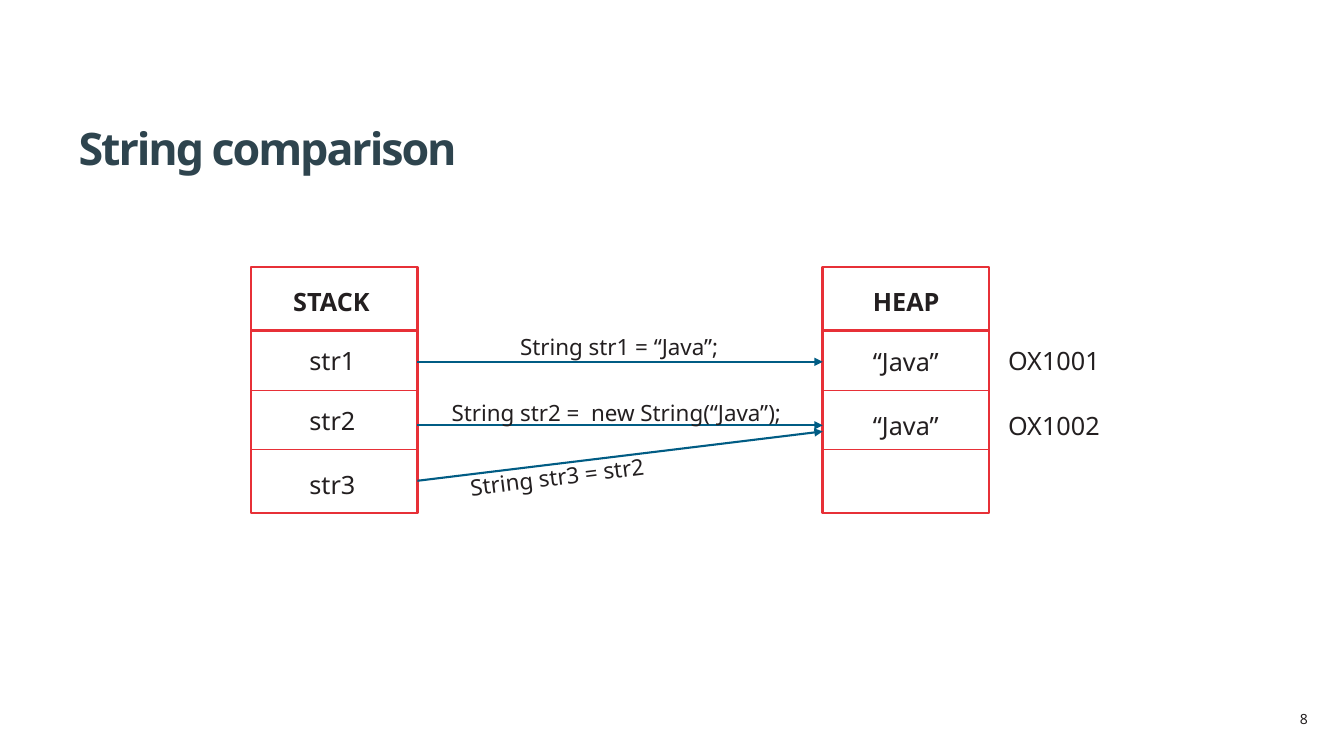
from lxml import etree
from pptx import Presentation
from pptx.dml.color import RGBColor
from pptx.enum import shapes as kinds, text as t
from pptx.oxml.ns import qn
from pptx.util import Inches, Pt

# Content
TITLE = "String comparison"
PAGE = "8"
MEMORY = [  # name, left of block, left of name
    ("STACK", 2.49, 2.81),
    ("HEAP", 8.16, 8.56),
]
ENTRIES = [  # text, left, top, width
    ("str1", 2.97, 3.38, 0.71),
    ("str2", 2.97, 3.97, 0.71),
    ("str3", 2.97, 4.61, 0.71),
    ("“Java”", 8.56, 3.39, 0.94),
    ("“Java”", 8.56, 4.02, 0.94),
    ("OX1001", 9.9, 3.38, 1.26),
    ("OX1002", 9.9, 4.02, 1.26),
]
STATEMENTS = [  # code, arrow start and end height, label left, top, width, rotation
    ("String str1 = “Java”;", 3.59, 3.59, 5.06, 3.26, 2.6, 0),
    ("String str2 =  new String(“Java”);", 4.22, 4.22, 4.38, 3.91, 3.69, 0),
    ("String str3 = str2", 4.77, 4.28, 4.56, 4.52, 2.36, -7),
]

# Style
FONT = "Noto Sans"
INK, RED, BLUE, SLATE, WHITE = "231F20", "E73037", "005C84", "2E444E", "FFFFFF"
BLOCK_TOP, BLOCK_WIDTH, BLOCK_HEIGHT = 2.65, 1.65, 2.44
HEADER_BOTTOM, ROW_HEIGHT = 3.28, 0.59

deck = Presentation()
deck.slide_width, deck.slide_height = Inches(13.33), Inches(7.5)
slide = deck.slides.add_slide(deck.slide_layouts[5])


def color(value):
    return RGBColor.from_string(value)


def style(frame, size, ink=INK, bold=False, align=t.PP_ALIGN.LEFT):
    paragraph = frame.paragraphs[0]
    paragraph.alignment = align
    font = paragraph.runs[0].font
    font.name, font.size, font.bold = FONT, Pt(size), bold
    font.color.rgb = color(ink)


def label(words, left, top, width, height=0.4, size=18, **look):
    box = slide.shapes.add_textbox(*map(Inches, (left, top, width, height)))
    box.text_frame.text = words
    box.text_frame.word_wrap = True
    style(box.text_frame, size, **look)
    return box


def line(x1, y1, x2, y2, ink, width, arrow=False):
    stroke = slide.shapes.add_connector(
        kinds.MSO_CONNECTOR.STRAIGHT, *map(Inches, (x1, y1, x2, y2)))
    stroke.line.color.rgb = color(ink)
    stroke.line.width = Pt(width)
    if arrow:
        etree.SubElement(stroke.line._get_or_add_ln(), qn("a:tailEnd"), type="triangle")
    etree.SubElement(stroke._element.spPr, qn("a:effectLst"))


# Title and page number
title = slide.shapes.title
title.left, title.top, title.width, title.height = map(Inches, (0.68, 0.76, 11.86, 1.02))
title.text_frame.text = TITLE
title.text_frame.vertical_anchor = t.MSO_ANCHOR.BOTTOM
style(title.text_frame, 32, SLATE, bold=True)
title.text_frame.paragraphs[0].runs[0].font._element.set("spc", "-150")
label(PAGE, 12.02, 7, 1.05, 0.27, size=10, align=t.PP_ALIGN.RIGHT)

# Memory blocks with a header and three rows
for name, left, name_left in MEMORY:
    block = slide.shapes.add_shape(
        kinds.MSO_SHAPE.RECTANGLE,
        *map(Inches, (left, BLOCK_TOP, BLOCK_WIDTH, BLOCK_HEIGHT)))
    block.shadow.inherit = False
    block.fill.solid()
    block.fill.fore_color.rgb = color(WHITE)
    block.line.color.rgb = color(RED)
    block.line.width = Pt(2)
    for row, weight in enumerate((1.75, 0.75, 0.75)):
        y = HEADER_BOTTOM + row * ROW_HEIGHT
        line(left, y, left + BLOCK_WIDTH, y, RED, weight)
    label(name, name_left, 2.79, 1.1, bold=True)

# Variables, values and addresses
for words, left, top, width in ENTRIES:
    label(words, left, top, width)

# Statements along arrows from stack to heap
stack_right, heap_left = MEMORY[0][1] + BLOCK_WIDTH, MEMORY[1][1]
for code, start, end, left, top, width, turn in STATEMENTS:
    line(stack_right, start, heap_left, end, BLUE, 1.5, arrow=True)
    label(code, left, top, width, 0.37, size=16).rotation = turn

deck.save("out.pptx")
